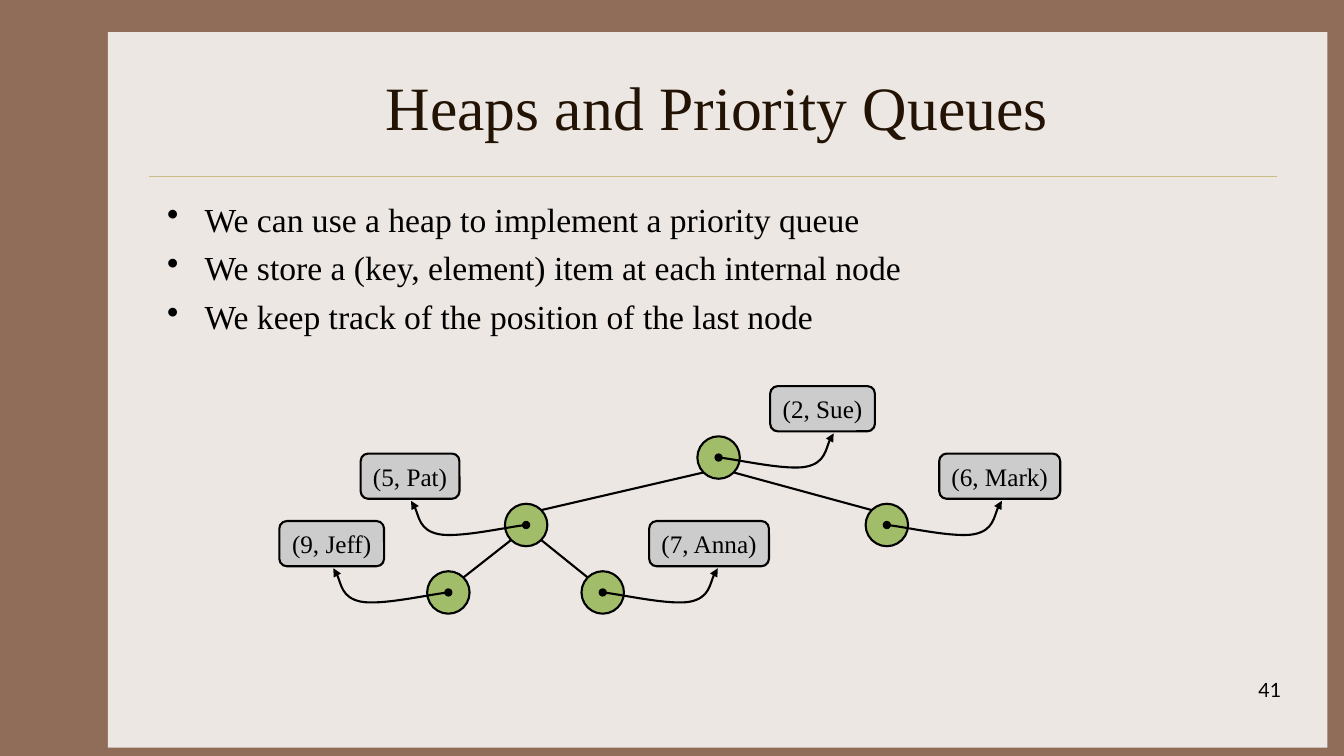
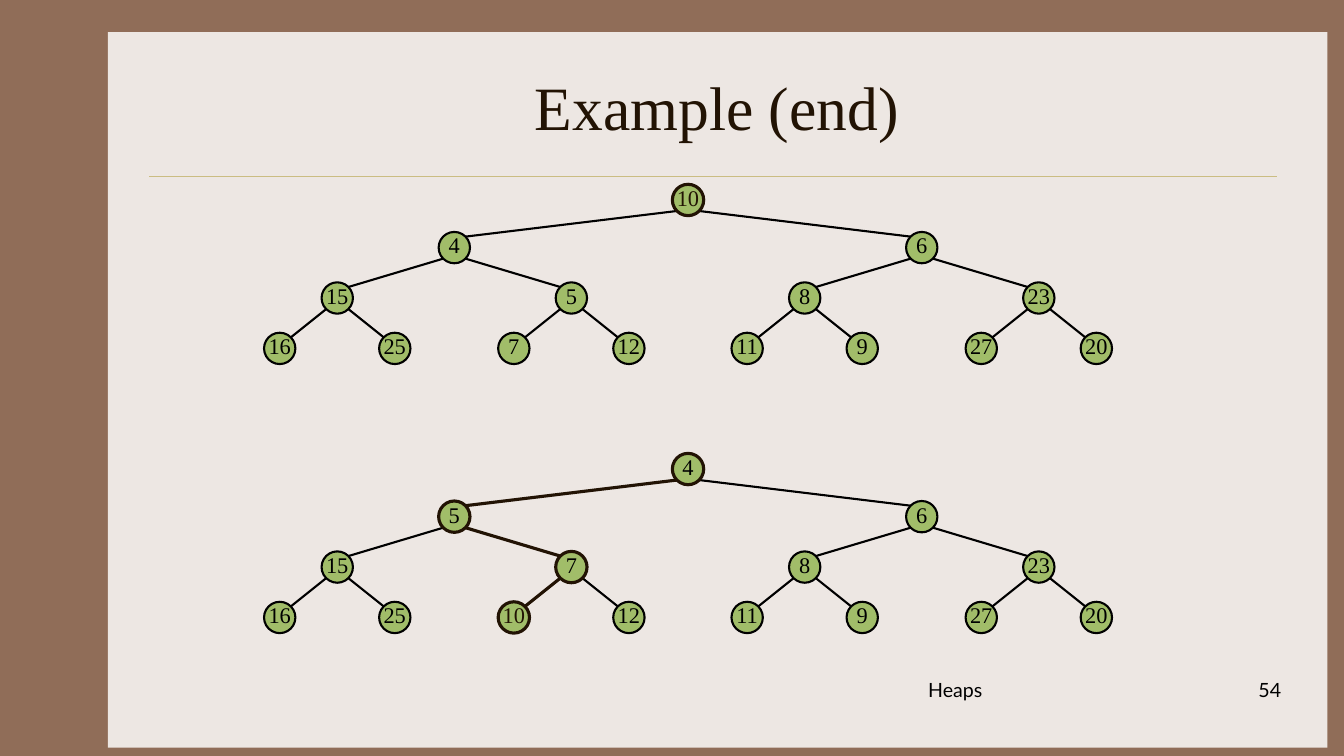
import lxml.etree
import pptx
import pptx.enum.shapes
import pptx.enum.text
import pptx.oxml.ns
from pptx.dml.color import RGBColor
from pptx.util import Cm, Pt

SHAPE = pptx.enum.shapes.MSO_SHAPE
ALIGN = pptx.enum.text.PP_ALIGN
ANCHOR = pptx.enum.text.MSO_ANCHOR
qn = pptx.oxml.ns.qn

BROWN, PAPER, GOLD, INK = "906D58", "EDE7E3", "CBBD83", "221304"
BLACK, GREEN, GREY = "000000", "A1BD69", "CCCCCC"
SERIF, SANS = "Times New Roman", "Lato"


def paint(fill, color):
    fill.solid()
    fill.fore_color.rgb = RGBColor.from_string(color)


def write(shape, text, face, size, color=BLACK, align=ALIGN.LEFT, anchor=ANCHOR.TOP, wrap=True):
    frame = shape.text_frame
    frame.text = text
    frame.word_wrap = wrap
    frame.vertical_anchor = anchor
    for para in frame.paragraphs:
        para.alignment = align
        for span in para.runs:
            span.font.name = face
            span.font.size = Pt(size)
            paint(span.font.fill, color)


deck = pptx.Presentation()
deck.slide_width, deck.slide_height = Cm(33.87), Cm(19.05)
paint(deck.slide_master.background.fill, BROWN)

# Shared frame: panel, title, footer and number; lines are gathered and drawn later
lines = []
pages = []
for title, footer, number in (("Heaps and Priority Queues", "", "41"),
                              ("Example (end)", "Heaps", "54")):
    page = deck.slides.add_slide(deck.slide_layouts[6])
    pages.append(page)
    panel = page.shapes.add_shape(SHAPE.RECTANGLE, Cm(2.72), Cm(0.81), Cm(30.73), Cm(18.03))
    panel.shadow.inherit = False
    paint(panel.fill, PAPER)
    panel.line.fill.background()
    lines.append((page, 3.76, 4.45, 32.18, 4.45, GOLD, 0.25))
    box = page.shapes.add_textbox(Cm(3.96), Cm(1.07), Cm(28.22), Cm(3.18))
    write(box, title, SERIF, 44, INK, ALIGN.CENTER, ANCHOR.MIDDLE)
    box = page.shapes.add_textbox(Cm(25.48), Cm(16.97), Cm(7.06), Cm(1.27))
    write(box, number, SANS, 14, align=ALIGN.RIGHT)
    if footer:
        box = page.shapes.add_textbox(Cm(23.14), Cm(16.97), Cm(10.72), Cm(1.27))
        write(box, footer, SANS, 14)
queue_page, example_page = pages

# Bullets
bullets = ("We can use a heap to implement a priority queue",
           "We store a (key, element) item at each internal node",
           "We keep track of the position of the last node")
box = queue_page.shapes.add_textbox(Cm(3.96), Cm(4.88), Cm(28.22), Cm(11.43))
write(box, "\n".join(bullets), SERIF, 24)
for index, para in enumerate(box.text_frame.paragraphs):
    properties = para._p.get_or_add_pPr()
    properties.set("marL", str(Cm(0.95)))
    properties.set("indent", str(-Cm(0.95)))
    lxml.etree.SubElement(properties, qn("a:buChar")).set("char", "•")
    if index:
        para.space_before = Pt(6)

# Heaps in array order: page, node centres, diameter, keys, ranks on the swap path
queue_points = [(18.11, 11.53), (13.26, 13.23), (22.35, 13.23), (11.3, 14.93), (15.19, 14.93)]
heaps = [(queue_page, queue_points, 1.07, [""] * len(queue_points), set())]
row_tops = (0, 1.2, 2.47, 3.74)
row_spreads = (0, 5.89, 2.95, 1.45)
for root_y, keys, swapped in (
        (5.04, "10 4 6 15 5 8 23 16 25 7 12 11 9 27 20", {0}),
        (11.82, "4 5 6 15 7 8 23 16 25 10 12 11 9 27 20", {0, 1, 4, 9})):
    points = [(17.34, root_y)]
    for rank in range(1, 15):
        row = (rank + 1).bit_length() - 1
        side = -1 if rank % 2 else 1
        points.append((points[(rank - 1) // 2][0] + side * row_spreads[row],
                       root_y + row_tops[row]))
    heaps.append((example_page, points, 0.79, keys.split(), swapped))

# Edges meet the circles at 45 degrees
for page, points, diameter, keys, swapped in heaps:
    reach = diameter * 0.35
    for rank in range(1, len(points)):
        parent = (rank - 1) // 2
        side = -1 if rank % 2 else 1
        (parent_x, parent_y), (x, y) = points[parent], points[rank]
        stroke = (INK, 2.25) if {rank, parent} <= swapped else (BLACK, 1.5)
        lines.append((page, parent_x + side * reach, parent_y + reach,
                      x - side * reach, y - reach, *stroke))

for page, x1, y1, x2, y2, color, width in lines:
    line = page.shapes.add_connector(pptx.enum.shapes.MSO_CONNECTOR.STRAIGHT,
                                     Cm(x1), Cm(y1), Cm(x2), Cm(y2))
    paint(line.line.fill, color)
    line.line.width = Pt(width)
    lxml.etree.SubElement(line._element.spPr, qn("a:effectLst"))

# Nodes
for page, points, diameter, keys, swapped in heaps:
    for rank, ((x, y), key) in enumerate(zip(points, keys)):
        node = page.shapes.add_shape(SHAPE.OVAL, Cm(x - diameter / 2), Cm(y - diameter / 2),
                                     Cm(diameter), Cm(diameter))
        node.shadow.inherit = False
        paint(node.fill, GREEN)
        paint(node.line.fill, INK if rank in swapped else BLACK)
        node.line.width = Pt(2.25 if rank in swapped else 1.5)
        if key:
            frame = node.text_frame
            frame.margin_left = frame.margin_right = frame.margin_top = 0
            frame.margin_bottom = Cm(0.13)
            write(node, key, SERIF, 16, INK if key == "10" else BLACK,
                  ALIGN.CENTER, ANCHOR.MIDDLE, wrap=False)

# Items, each with a curved arrow from its node
items = (("(2, Sue)", 19.41, 2.64, 1), ("(5, Pat)", 9.09, 2.49, -1),
         ("(6, Mark)", 23.67, 3.05, 1), ("(9, Jeff)", 7.04, 2.64, -1),
         ("(7, Anna)", 16.36, 3.02, 1))
curve_steps = ((0.38, 0.03), (1.73, 0.33), (2.21, 0.23),
               (2.69, 0.13), (2.74, -0.43), (2.9, -0.61))
for (x, y), (text, left, width, side) in zip(queue_points, items):
    item = queue_page.shapes.add_shape(SHAPE.ROUNDED_RECTANGLE, Cm(left), Cm(y - 1.8),
                                       Cm(width), Cm(1.14))
    item.shadow.inherit = False
    paint(item.fill, GREY)
    paint(item.line.fill, BLACK)
    item.line.width = Pt(1.5)
    write(item, text, SERIF, 18, BLACK, ALIGN.CENTER, ANCHOR.MIDDLE, wrap=False)

    builder = queue_page.shapes.build_freeform(Cm(x), Cm(y))
    builder.add_line_segments([(Cm(x + side * dx), Cm(y + dy)) for dx, dy in curve_steps],
                              close=False)
    arrow = builder.convert_to_shape()
    arrow.shadow.inherit = False
    arrow.fill.background()
    paint(arrow.line.fill, BLACK)
    arrow.line.width = Pt(1.5)
    # Turn each three straight segments into one Bézier segment
    outline = next(arrow._element.iter(qn("a:path")))
    segments = outline.findall(qn("a:lnTo"))
    for start in range(0, len(segments), 3):
        curve = lxml.etree.SubElement(outline, qn("a:cubicBezTo"))
        for segment in segments[start:start + 3]:
            curve.append(segment[0])
            outline.remove(segment)
    stroke = arrow.line._get_or_add_ln()
    for tag, kind in (("a:headEnd", "oval"), ("a:tailEnd", "triangle")):
        lxml.etree.SubElement(stroke, qn(tag)).set("type", kind)

deck.save("out.pptx")
